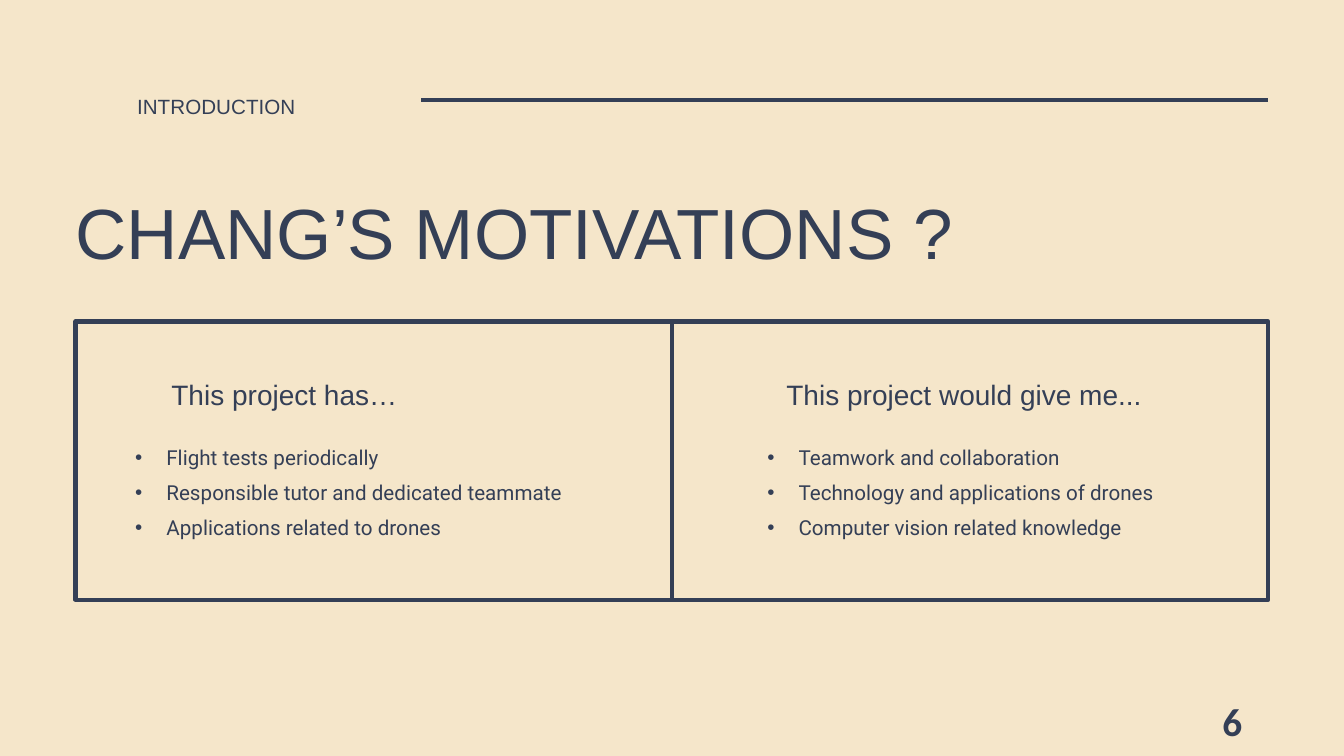
from lxml.etree import SubElement
from pptx import Presentation
from pptx.dml.color import RGBColor
from pptx.enum.shapes import MSO_CONNECTOR, MSO_SHAPE
from pptx.enum.text import MSO_ANCHOR, MSO_AUTO_SIZE, PP_ALIGN
from pptx.oxml.ns import qn
from pptx.util import Inches, Pt

NAVY = "343F56"
CREAM = "F5E6CA"
BULLET_INDENT = 0.31


def color(hex_value):
    """Turn a hex string into a colour."""
    return RGBColor.from_string(hex_value)


def add_run(paragraph, text, size, font="Arial", bold=False):
    """Add one formatted run to a paragraph."""
    run = paragraph.add_run()
    run.text = text
    run.font.size = Pt(size)
    run.font.name = font
    run.font.bold = bold
    run.font.color.rgb = color(NAVY)


def prepare_frame(shape, anchor=MSO_ANCHOR.TOP, margins=(0, 0)):
    """Set wrapping, anchor and horizontal and vertical margins."""
    frame = shape.text_frame
    frame.word_wrap = True
    frame.auto_size = MSO_AUTO_SIZE.NONE
    frame.vertical_anchor = anchor
    frame.margin_left = frame.margin_right = Inches(margins[0])
    frame.margin_top = frame.margin_bottom = Inches(margins[1])
    return frame


def add_text_frame(slide, box, **options):
    """Add a text box at left, top, width, height and return its frame."""
    shape = slide.shapes.add_textbox(*map(Inches, box))
    return prepare_frame(shape, **options)


def add_label(slide, box, text, size):
    """Add a single line of text with open line spacing."""
    paragraph = add_text_frame(slide, box).paragraphs[0]
    paragraph.line_spacing = 1.4
    add_run(paragraph, text, size)


def add_line(slide, start, end):
    """Add a straight navy line without a shadow."""
    line = slide.shapes.add_connector(
        MSO_CONNECTOR.STRAIGHT, *map(Inches, (*start, *end)))
    line.line.color.rgb = color(NAVY)
    line.line.width = Pt(3)
    SubElement(line._element.spPr, qn("a:effectLst"))
    return line


def add_bullet(paragraph):
    """Give a paragraph a navy bullet and a hanging indent."""
    properties = paragraph._p.get_or_add_pPr()
    properties.set("marL", str(Inches(BULLET_INDENT)))
    properties.set("indent", str(-Inches(BULLET_INDENT)))
    bullet_color = SubElement(properties, qn("a:buClr"))
    SubElement(bullet_color, qn("a:srgbClr"), val=NAVY)
    SubElement(properties, qn("a:buFont"), typeface="Arial")
    SubElement(properties, qn("a:buChar"), char="•")


def add_header(slide, box):
    """Place the section name, its rule and the title."""
    left, top, width, height = box
    add_label(slide, (left + 0.61, top, 2.61, 0.25), "INTRODUCTION", 14.7)
    rule_top = top + 0.16
    add_line(slide, (left + 3.43, rule_top), (left + width, rule_top))
    title = slide.shapes.title
    title.left, title.top = Inches(left), Inches(top + 1.04)
    title.width, title.height = Inches(width), Inches(height - 1.04)
    paragraph = prepare_frame(title).paragraphs[0]
    paragraph.alignment = PP_ALIGN.LEFT
    add_run(paragraph, "CHANG’S MOTIVATIONS ?", 50.7)


def add_column(slide, box, heading, heading_offset, items):
    """Place a heading above a bulleted list."""
    left, top, width, height = box
    add_label(slide, (left + heading_offset, top, 3.93, 0.34), heading, 20)
    frame = add_text_frame(slide, (left, top + 0.43, width, height - 0.43),
                           anchor=MSO_ANCHOR.MIDDLE)
    for index, item in enumerate(items):
        paragraph = frame.add_paragraph() if index else frame.paragraphs[0]
        paragraph.line_spacing = 1.4
        add_bullet(paragraph)
        add_run(paragraph, item, 14.7, "Roboto")


def add_panel(slide, box):
    """Place the framed panel with its divider and two columns."""
    left, top, width, height = box
    panel = slide.shapes.add_shape(MSO_SHAPE.RECTANGLE, *map(Inches, box))
    panel.shadow.inherit = False
    panel.fill.background()
    panel.line.color.rgb = color(NAVY)
    panel.line.width = Pt(3)
    middle = left + width / 2
    divider = add_line(slide, (middle, top + height), (middle, top))
    divider.begin_connect(panel, 2)
    divider.end_connect(panel, 0)
    columns = (
        (0.59, "This project has…", 0.36,
         ("Flight tests periodically",
          "Responsible tutor and dedicated teammate",
          "Applications related to drones")),
        (6.86, "This project would give me...", 0.19,
         ("Teamwork and collaboration",
          "Technology and applications of drones",
          "Computer vision related knowledge")),
    )
    for offset, heading, heading_offset, items in columns:
        add_column(slide, (left + offset, top + 0.42, 4.32, 2.02),
                   heading, heading_offset, items)


def add_page_number(slide, box):
    """Place the page number at the right of its box."""
    frame = add_text_frame(slide, box, anchor=MSO_ANCHOR.MIDDLE,
                           margins=(0.1, 0.05))
    paragraph = frame.paragraphs[0]
    paragraph.alignment = PP_ALIGN.RIGHT
    add_run(paragraph, "6", 28, "Calibri", True)


def main():
    """Build and save the presentation."""
    presentation = Presentation()
    presentation.slide_width = Inches(13.33)
    presentation.slide_height = Inches(7.5)
    slide = presentation.slides.add_slide(presentation.slide_layouts[5])
    slide.background.fill.solid()
    slide.background.fill.fore_color.rgb = color(CREAM)
    add_header(slide, (0.75, 0.83, 11.83, 1.89))
    add_panel(slide, (0.75, 3.19, 11.83, 2.76))
    add_page_number(slide, (9.42, 6.95, 3, 0.4))
    presentation.save("out.pptx")


if __name__ == "__main__":
    main()
